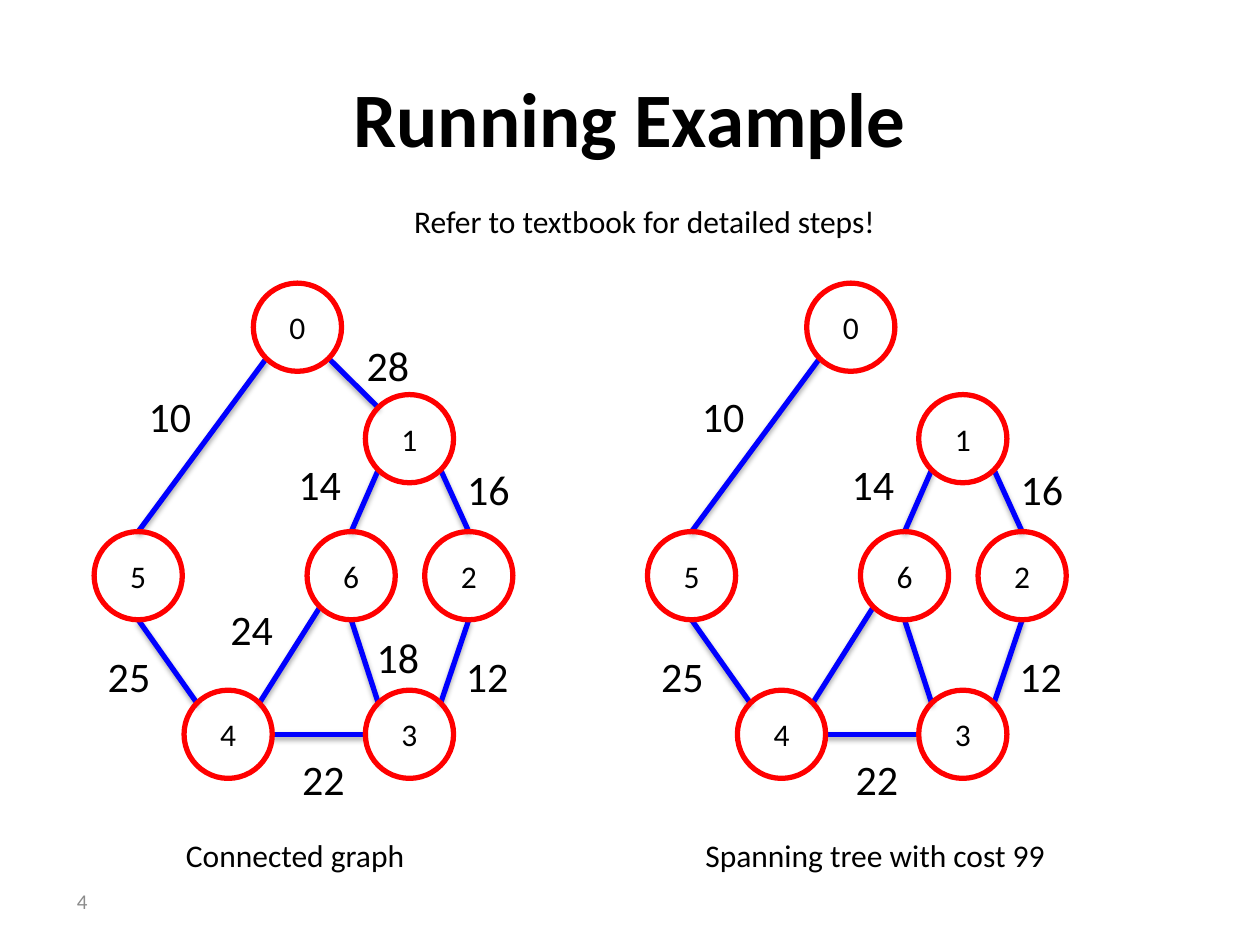
from dataclasses import dataclass
from math import sqrt

from lxml.etree import SubElement
from pptx import Presentation
from pptx.dml.color import RGBColor
from pptx.enum.shapes import MSO_CONNECTOR as Connector, MSO_SHAPE as Shape
from pptx.enum.text import MSO_ANCHOR as Anchor, MSO_AUTO_SIZE as AutoSize, PP_ALIGN as Align
from pptx.oxml.ns import qn
from pptx.slide import Slide
from pptx.text.text import TextFrame
from pptx.util import Pt

BLACK = RGBColor(0x00, 0x00, 0x00)
BLUE = RGBColor(0x00, 0x00, 0xFF)
RED = RGBColor(0xFF, 0x00, 0x00)
GREY = RGBColor(0x8C, 0x8C, 0x8C)

FONT = "Calibri"
DIAMETER = 50.4
STROKE = 3
DIAGONAL = 1 / sqrt(2)
SITES = {
    "top": (0, -1),
    "bottom": (0, 1),
    "left": (-1, 0),
    "right": (1, 0),
    "top left": (-DIAGONAL, -DIAGONAL),
    "top right": (DIAGONAL, -DIAGONAL),
    "bottom left": (-DIAGONAL, DIAGONAL),
    "bottom right": (DIAGONAL, DIAGONAL),
}


@dataclass(frozen=True)
class Edge:
    start: int
    start_site: str
    end: int
    end_site: str
    weight: str
    label_left: float
    label_top: float


@dataclass(frozen=True)
class Graph:
    shift: float
    missing_edges: frozenset
    missing_labels: frozenset


@dataclass(frozen=True)
class Note:
    text: str
    left: float
    top: float
    width: float


NODES = {
    0: (144.8, 161.8),
    1: (208.8, 225.5),
    2: (242.7, 303.8),
    3: (208.8, 394.4),
    4: (105.2, 394.4),
    5: (53.8, 303.8),
    6: (175.5, 303.8),
}
EDGES = [
    Edge(1, "top left", 0, "bottom right", "28", 202.4, 190.6),
    Edge(2, "top", 1, "bottom right", "16", 259.9, 261.3),
    Edge(1, "bottom left", 6, "top", "14", 163.4, 258.5),
    Edge(5, "top", 0, "bottom left", "10", 77.8, 219.6),
    Edge(2, "bottom", 3, "top right", "12", 259.2, 367.9),
    Edge(3, "top left", 6, "bottom", "18", 208.2, 357.3),
    Edge(6, "bottom left", 4, "top right", "24", 124.6, 341.3),
    Edge(5, "bottom", 4, "top left", "25", 54.5, 367.9),
    Edge(3, "left", 4, "right", "22", 165.6, 427),
]
GRAPHS = [
    Graph(0, frozenset(), frozenset()),
    Graph(316.2, frozenset({"28"}), frozenset({"18", "24"})),
]
NOTES = [
    Note("Connected graph", 99.2, 474, 141),
    Note("Spanning tree with cost 99", 396, 474, 211),
    Note("Refer to textbook for detailed steps!", 229.6, 111.8, 281),
]


def format_text(frame: TextFrame, size: float, align: Align, color: RGBColor = BLACK) -> None:
    para = frame.paragraphs[0]
    para.alignment = align
    for span in para.runs:
        span.font.name = FONT
        span.font.size = Pt(size)
        span.font.color.rgb = color


def add_label(page: Slide, note: Note, size: float, height: float) -> None:
    box = page.shapes.add_textbox(Pt(note.left), Pt(note.top), Pt(note.width), Pt(height))
    frame = box.text_frame
    frame.text = note.text
    frame.word_wrap = False
    frame.auto_size = AutoSize.SHAPE_TO_FIT_TEXT
    format_text(frame, size, Align.LEFT)


def site_point(node: int, site: str, shift: float) -> tuple[Pt, Pt]:
    left, top = NODES[node]
    across, down = SITES[site]
    radius = DIAMETER / 2
    return Pt(left + shift + radius * (1 + across)), Pt(top + radius * (1 + down))


def add_edge(page: Slide, edge: Edge, shift: float) -> None:
    start = site_point(edge.start, edge.start_site, shift)
    end = site_point(edge.end, edge.end_site, shift)
    line = page.shapes.add_connector(Connector.STRAIGHT, *start, *end)
    line.line.color.rgb = BLUE
    line.line.width = Pt(STROKE)
    effects = SubElement(line._element.spPr, qn("a:effectLst"))
    shadow = SubElement(effects, qn("a:outerShdw"), blurRad=str(Pt(3.1)), dist=str(Pt(1.8)),
                        dir="5400000", rotWithShape="0")
    color = SubElement(shadow, qn("a:srgbClr"), val=str(BLACK))
    SubElement(color, qn("a:alpha"), val="35000")


def add_node(page: Slide, node: int, shift: float) -> None:
    left, top = NODES[node]
    circle = page.shapes.add_shape(Shape.OVAL, Pt(left + shift), Pt(top), Pt(DIAMETER), Pt(DIAMETER))
    circle.shadow.inherit = False
    circle.fill.background()
    circle.line.color.rgb = RED
    circle.line.width = Pt(STROKE)
    circle.text_frame.text = str(node)
    circle.text_frame.vertical_anchor = Anchor.MIDDLE
    format_text(circle.text_frame, 18, Align.CENTER)


def add_graph(page: Slide, graph: Graph) -> None:
    edges = [edge for edge in EDGES if edge.weight not in graph.missing_edges]
    for edge in edges:
        add_edge(page, edge, graph.shift)
    for node in NODES:
        add_node(page, node, graph.shift)
    for edge in edges:
        if edge.weight not in graph.missing_labels:
            note = Note(edge.weight, edge.label_left + graph.shift, edge.label_top, 38.9)
            add_label(page, note, 24, 36.3)


def add_title(page: Slide) -> None:
    title = page.shapes.title
    title.left, title.top, title.width, title.height = Pt(36), Pt(21.6), Pt(648), Pt(90)
    title.text_frame.text = "Running Example"
    title.text_frame.vertical_anchor = Anchor.MIDDLE
    format_text(title.text_frame, 44, Align.CENTER)
    title.text_frame.paragraphs[0].runs[0].font.bold = True


def add_page_number(page: Slide) -> None:
    box = page.shapes.add_textbox(Pt(-110.9), Pt(500.5), Pt(168), Pt(28.8))
    box.text_frame.text = "4"
    box.text_frame.word_wrap = True
    box.text_frame.vertical_anchor = Anchor.MIDDLE
    format_text(box.text_frame, 12, Align.RIGHT, GREY)


def main() -> None:
    deck = Presentation()
    deck.slide_width, deck.slide_height = Pt(720), Pt(540)
    page = deck.slides.add_slide(deck.slide_layouts[5])
    add_title(page)
    for graph in GRAPHS:
        add_graph(page, graph)
    for note in NOTES:
        add_label(page, note, 18, 29.1)
    add_page_number(page)
    deck.save("out.pptx")


if __name__ == "__main__":
    main()
